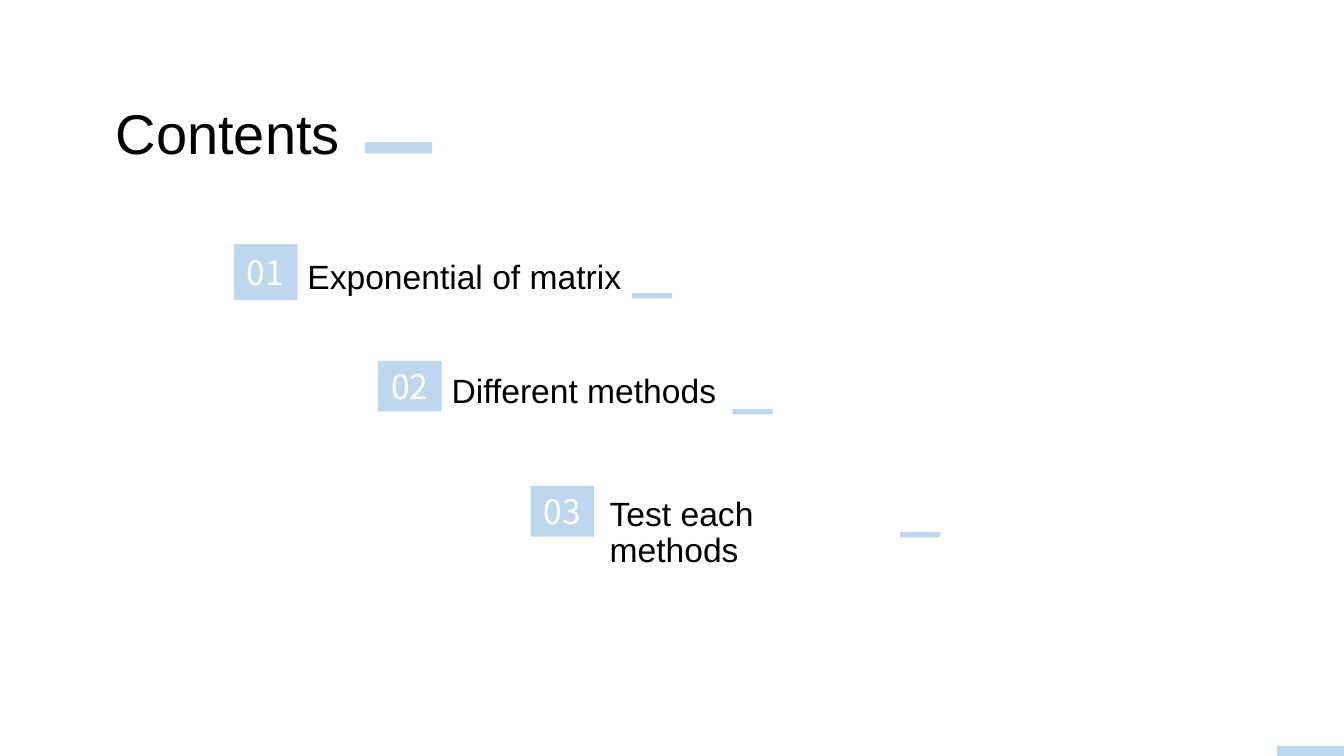
"""Build a contents slide with three numbered, stepped entries."""
from pptx import Presentation
from pptx import util as u
from pptx.dml import color
from pptx.enum import shapes, text

PALE_BLUE, WHITE, BLACK = "BDD7EE", "FFFFFF", "000000"
LATIN, NUMERAL = "Arial", "Noto Sans CJK SC"

TITLE = ("Contents", (75.6, 67, 479.5, 55.4))
TITLE_DASH = (260.7, 101.6)
CORNER_DASH = (912.2, 532.8)
LONG_DASH, SHORT_DASH = (48, 8), (28.8, 3.8)

ENTRIES = [
    {"label": "Exponential of matrix", "badge": (167, 174.4, 45.5, 40),
     "label_box": (212.5, 182.7, 248.4, 33.1), "dash": (451.4, 209.4)},
    {"label": "Different methods", "badge": (270, 257.7, 45.5, 36.2),
     "label_box": (315.5, 263.8, 239.8, 33.1), "dash": (523.4, 292.2)},
    {"label": "Test each methods", "badge": (379, 347.1, 45.5, 36.2),
     "label_box": (428.4, 351.7, 212, 33.1), "dash": (643, 380)},
]


def rgb(hex_code):
    return color.RGBColor.from_string(hex_code)


def write(holder, words, size, font, ink):
    frame = holder.text_frame
    frame.word_wrap = True
    line = frame.paragraphs[0]
    line.text = words
    line.font.size = u.Pt(size)
    line.font.name = font
    line.font.color.rgb = rgb(ink)
    return line


def add_label(slide, words, box, size):
    holder = slide.shapes.add_textbox(*map(u.Pt, box))
    return write(holder, words, size, LATIN, BLACK)


def add_block(slide, box):
    block = slide.shapes.add_shape(shapes.MSO_SHAPE.RECTANGLE, *map(u.Pt, box))
    block.shadow.inherit = False
    block.fill.solid()
    block.fill.fore_color.rgb = rgb(PALE_BLUE)
    block.line.fill.background()
    return block


def add_entry(slide, number, entry):
    badge = add_block(slide, entry["badge"])
    numeral = write(badge, f"{number:02d}", 24, NUMERAL, WHITE)
    numeral.alignment = text.PP_ALIGN.CENTER
    badge.text_frame.vertical_anchor = text.MSO_ANCHOR.MIDDLE
    label = add_label(slide, entry["label"], entry["label_box"], 24)
    label.line_spacing = 0.9
    label.space_before = u.Pt(10)
    add_block(slide, entry["dash"] + SHORT_DASH)


def main():
    deck = Presentation()
    deck.slide_width, deck.slide_height = u.Pt(960), u.Pt(540)
    slide = deck.slides.add_slide(deck.slide_layouts[6])
    add_block(slide, CORNER_DASH + LONG_DASH)
    add_label(slide, *TITLE, 40)
    add_block(slide, TITLE_DASH + LONG_DASH)
    for number, entry in enumerate(ENTRIES, 1):
        add_entry(slide, number, entry)
    deck.save("out.pptx")


if __name__ == "__main__":
    main()
